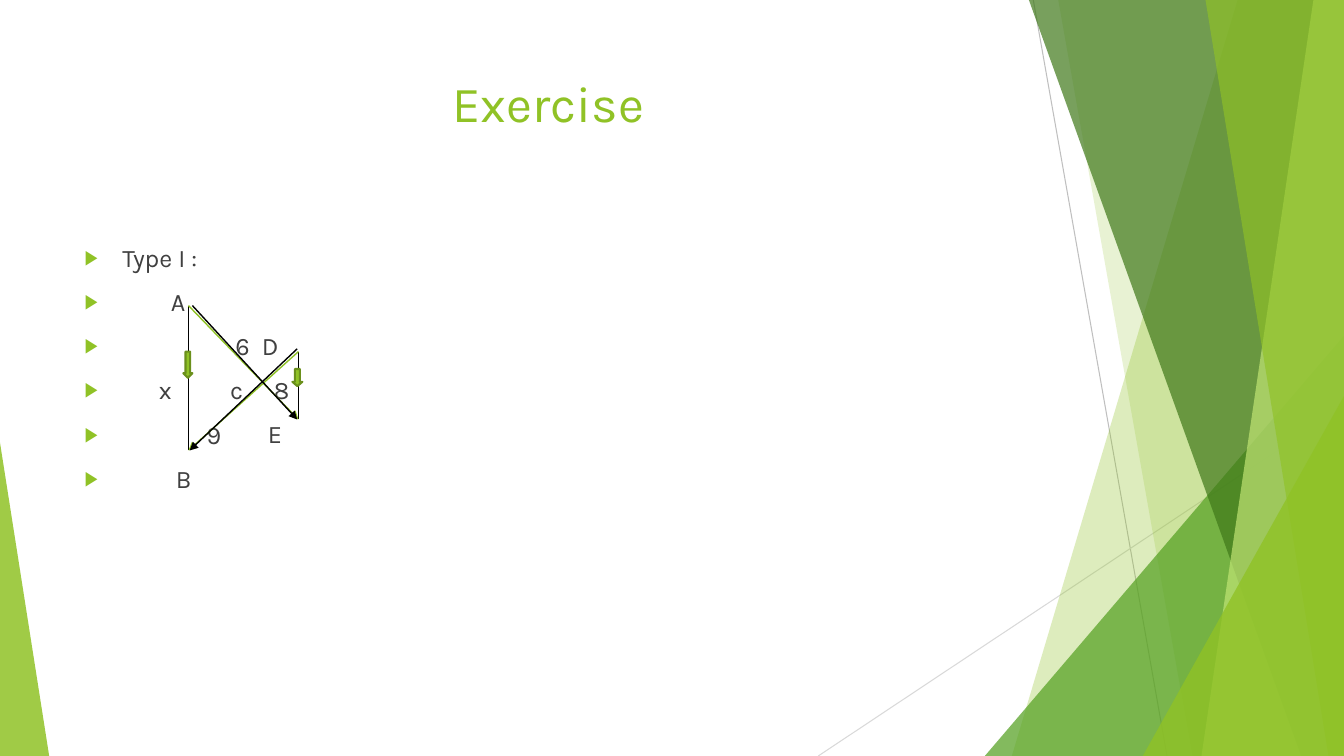
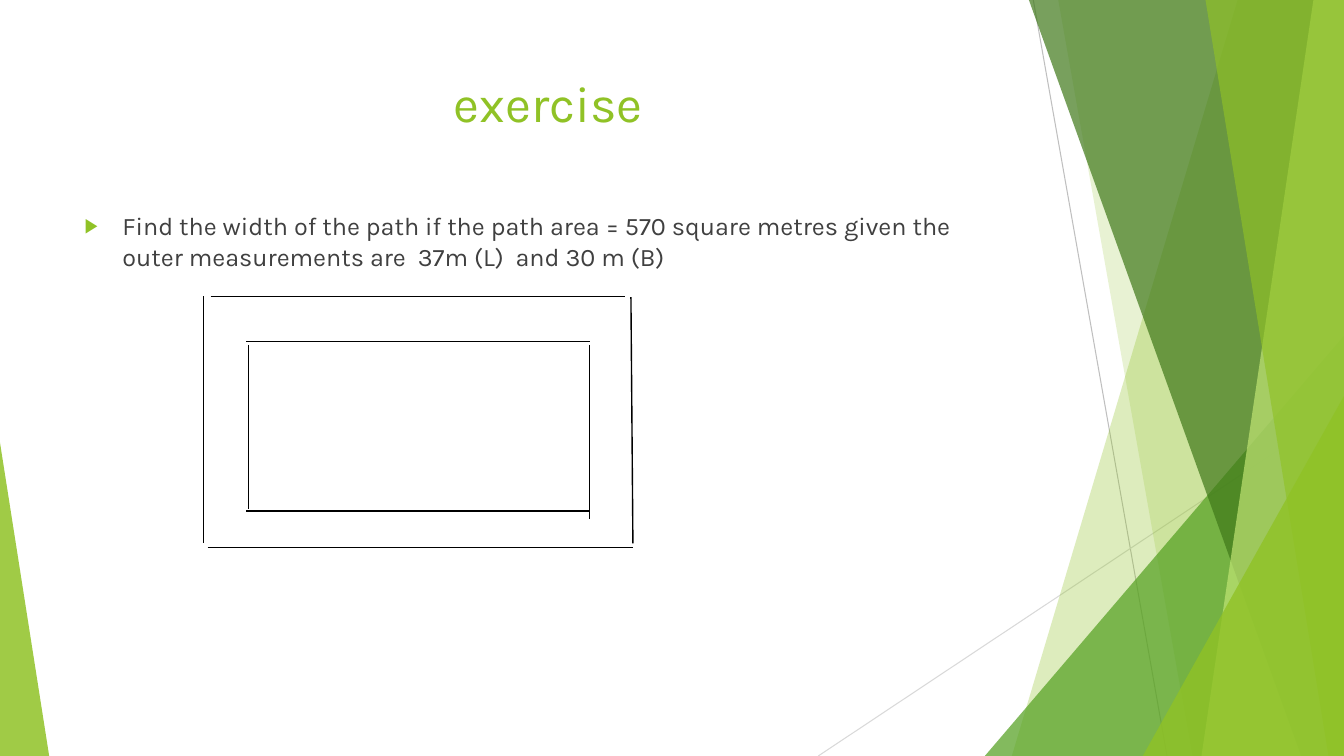
from lxml import etree
from pptx import Presentation
from pptx.dml.color import RGBColor
from pptx.enum.shapes import MSO_CONNECTOR, MSO_SHAPE
from pptx.enum.text import MSO_ANCHOR, MSO_AUTO_SIZE, PP_ALIGN
from pptx.oxml.ns import qn
from pptx.util import Cm, Pt

STRAIGHT = MSO_CONNECTOR.STRAIGHT
TRIANGLE = MSO_SHAPE.ISOSCELES_TRIANGLE
DOWN_ARROW = MSO_SHAPE.DOWN_ARROW
TOP = MSO_ANCHOR.TOP
NO_AUTOFIT = MSO_AUTO_SIZE.NONE
CENTER = PP_ALIGN.CENTER

W, H = 33.87, 19.05
FONT = "Karla"
COLORS = {
    "accent": "90C226",
    "green": "54A021",
    "dark": "3F7819",
    "pale": "C0E474",
    "edge": "6B901C",
    "text": "404040",
    "black": "000000",
    "gray": "BFBFBF",
    "light_gray": "D9D9D9",
}
LEFT, BODY_W, BODY_H = 1.88, 23.88, 10.77
TITLE_TOP, TITLE_H = 1.7, 3.66
BODY_INDENT = 0.95
ROW_TOP, ROW_STEP = 6.1, 1.11


def rgb(name):
    return RGBColor.from_string(COLORS[name])


def add_line(shapes, start, end, color="black", width=1, arrow=False):
    c = shapes.add_connector(STRAIGHT, *[Cm(v) for v in (*start, *end)])
    c.line.color.rgb = rgb(color)
    c.line.width = Pt(width)
    if arrow:
        etree.SubElement(c.line._get_or_add_ln(), qn("a:tailEnd"), type="triangle")
    etree.SubElement(c.element.spPr, qn("a:effectLst"))


def fill_facet(sp, color, opacity):
    sp.shadow.inherit = False
    sp.fill.solid()
    sp.fill.fore_color.rgb = rgb(color)
    sp.line.fill.background()
    clr = sp.element.spPr.find(qn("a:solidFill")).find(qn("a:srgbClr"))
    etree.SubElement(clr, qn("a:alpha"), val=str(opacity * 1000))


def add_band(shapes, top_x, bottom_x, color, opacity):
    fb = shapes.build_freeform(Cm(top_x), 0)
    corners = [(W, 0), (W, H), (bottom_x, H)]
    fb.add_line_segments([(Cm(x), Cm(y)) for x, y in corners], close=True)
    fill_facet(fb.convert_to_shape(), color, opacity)


def add_triangle(shapes, left, top, width, apex, color, opacity):
    sp = shapes.add_shape(TRIANGLE, Cm(left), Cm(top), Cm(width), Cm(H - top))
    sp.adjustments[0] = apex
    fill_facet(sp, color, opacity)


def add_facets(shapes):
    add_line(shapes, (26.04, 0), (29.41, H), "gray", 0.75)
    add_line(shapes, (W, 10.24), (20.62, H), "light_gray", 0.75)
    add_band(shapes, 31.19, 25.5, "accent", 30)
    add_band(shapes, 26.67, 30.05, "accent", 20)
    add_triangle(shapes, 24.82, 8.46, 9.05, 1, "green", 72)
    add_band(shapes, 25.93, 32.79, "dark", 70)
    add_band(shapes, 33.1, 30.28, "pale", 70)
    add_band(shapes, 30.38, 33.48, "accent", 65)
    add_triangle(shapes, 28.8, 9.98, 5.07, 1, "accent", 80)
    add_triangle(shapes, 0, 11.15, 1.24, 0, "accent", 85)


def move_to_master(s, master):
    tree = master.shapes.element
    drawn = [sp for sp in s.shapes if not sp.is_placeholder]
    for i, sp in enumerate(drawn):
        sp.element.xpath(".//p:cNvPr")[0].set("id", str(100 + i))
        tree.insert(2 + i, sp.element)


def place(sp, left, top, width, height):
    sp.left, sp.top, sp.width, sp.height = map(Cm, (left, top, width, height))


def format_runs(p, size, color):
    for r in p.runs:
        r.font.name = FONT
        r.font.size = Pt(size)
        r.font.color.rgb = rgb(color)


def set_title(s, text):
    sp = s.shapes.title
    place(sp, LEFT, TITLE_TOP, BODY_W, TITLE_H)
    tf = sp.text_frame
    tf.text = text
    tf.vertical_anchor = TOP
    tf.auto_size = NO_AUTOFIT
    p = tf.paragraphs[0]
    p.alignment = CENTER
    format_runs(p, 36, "accent")


def set_bullet(p, indent):
    pPr = p._p.get_or_add_pPr()
    pPr.set("marL", str(Cm(indent)))
    pPr.set("indent", str(-Cm(indent)))
    clr = etree.SubElement(pPr, qn("a:buClr"))
    etree.SubElement(clr, qn("a:srgbClr"), val=COLORS["accent"])
    etree.SubElement(pPr, qn("a:buSzPct"), val="80000")
    etree.SubElement(pPr, qn("a:buChar"), char="▶")


def set_body(s, top, items):
    sp = s.placeholders[1]
    place(sp, LEFT, top, BODY_W, BODY_H)
    tf = sp.text_frame
    tf.auto_size = NO_AUTOFIT
    tf.text = "\n".join(text for text, _ in items)
    for p, (_, indent) in zip(tf.paragraphs, items):
        p.space_before = Pt(10)
        set_bullet(p, indent)
        format_runs(p, 18, "text")


def add_label(s, text, left, row):
    sp = s.shapes.add_textbox(Cm(left), Cm(ROW_TOP + row * ROW_STEP), Cm(0.6), Cm(0.76))
    tf = sp.text_frame
    tf.word_wrap = True
    tf.margin_left = tf.margin_right = tf.margin_top = tf.margin_bottom = 0
    tf.text = text
    format_runs(tf.paragraphs[0], 18, "text")


def add_down_arrow(s, left, top, width, height, head):
    sp = s.shapes.add_shape(DOWN_ARROW, Cm(left), Cm(top), Cm(width), Cm(height))
    sp.adjustments[1] = head
    sp.shadow.inherit = False
    sp.fill.solid()
    sp.fill.fore_color.rgb = rgb("accent")
    sp.line.color.rgb = rgb("edge")
    sp.line.width = Pt(1.5)


def build_triangles(s):
    set_title(s, "Exercise")
    set_body(s, 5.97, [
        ("Type I :", BODY_INDENT),
        ("A", 2.17),
        ("6", 3.8),
        ("x", 1.87),
        ("9", 3.07),
        ("B", 2.3),
    ])
    for text, left, row in [("D", 6.6, 2), ("c", 5.8, 3), ("8", 6.9, 3), ("E", 6.75, 4)]:
        add_label(s, text, left, row)
    a, b, d, e = (4.75, 7.7), (4.75, 11.35), (7.52, 8.86), (7.52, 10.57)
    add_line(s.shapes, a, b)
    add_line(s.shapes, d, e)
    add_line(s.shapes, a, e, "accent", arrow=True)
    add_line(s.shapes, d, b, "accent", arrow=True)
    add_down_arrow(s, 4.62, 8.86, 0.23, 0.66, 0.5)
    add_down_arrow(s, 7.37, 9.3, 0.25, 0.43, 0.43)
    add_line(s.shapes, (4.85, 7.7), (7.49, 10.57), arrow=True)
    add_line(s.shapes, (7.49, 8.79), (4.78, 11.35), arrow=True)


def build_path(s):
    set_title(s, "exercise")
    question = (
        "Find the width of the path if the path area = 570 square metres "
        "given the outer measurements are  37m (L)  and 30 m (B)"
    )
    set_body(s, 5.18, [(question, BODY_INDENT)])
    inner = [
        ((6.2, 8.61), (14.86, 8.61)),
        ((6.27, 8.69), (6.27, 12.83)),
        ((6.2, 12.88), (14.86, 12.88)),
        ((14.86, 8.69), (14.86, 13.08)),
    ]
    outer = [
        ((5.31, 7.47), (15.75, 7.47)),
        ((5.13, 7.47), (5.13, 13.69)),
        ((5.23, 13.79), (15.95, 13.79)),
        ((15.9, 7.49), (15.95, 13.69)),
    ]
    for start, end in inner + outer:
        add_line(s.shapes, start, end)


def main():
    prs = Presentation()
    prs.slide_width, prs.slide_height = Cm(W), Cm(H)
    layout = prs.slide_layouts[1]
    s = prs.slides.add_slide(layout)
    add_facets(s.shapes)
    move_to_master(s, prs.slide_master)
    build_triangles(s)
    build_path(prs.slides.add_slide(layout))
    prs.save("out.pptx")


if __name__ == "__main__":
    main()
